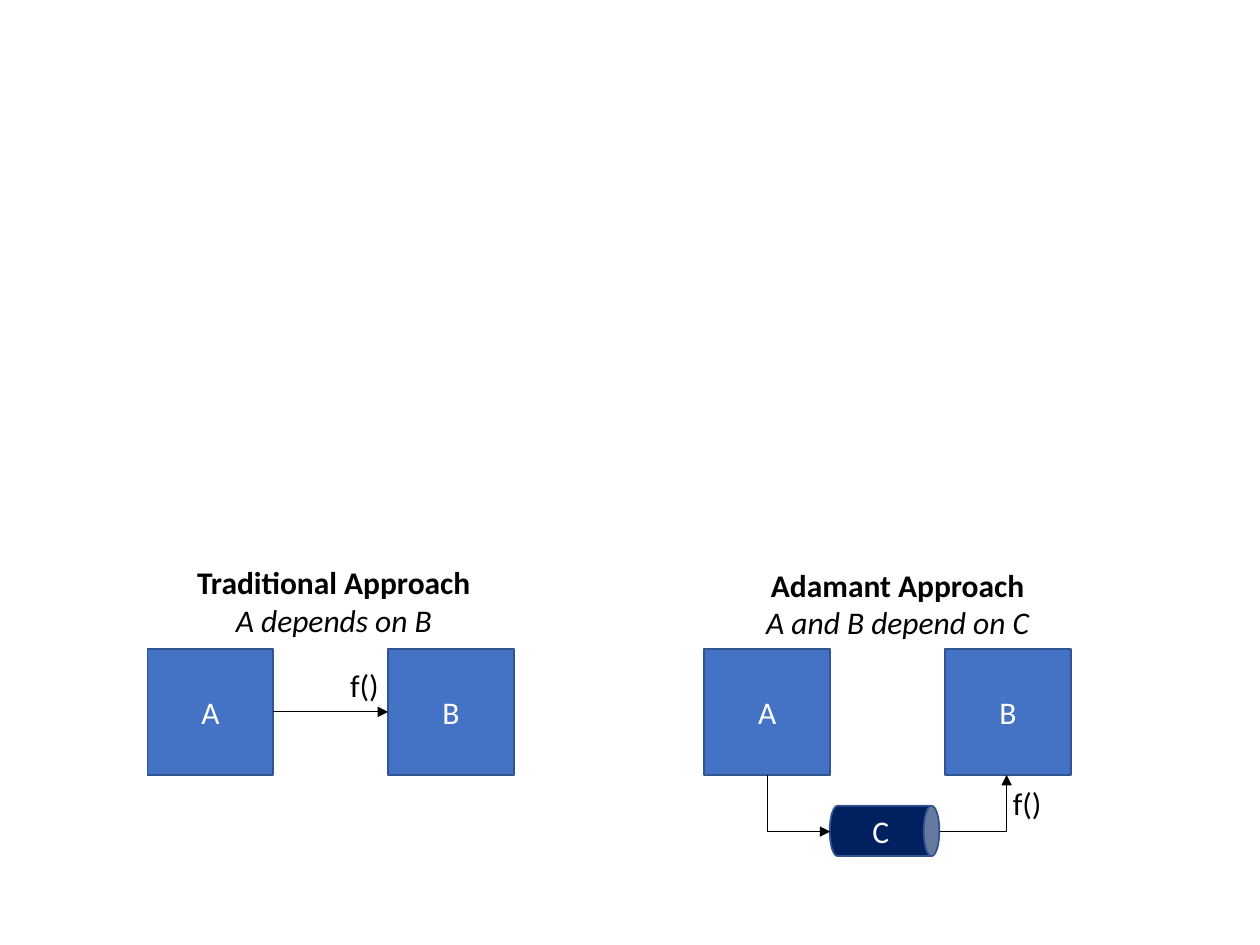
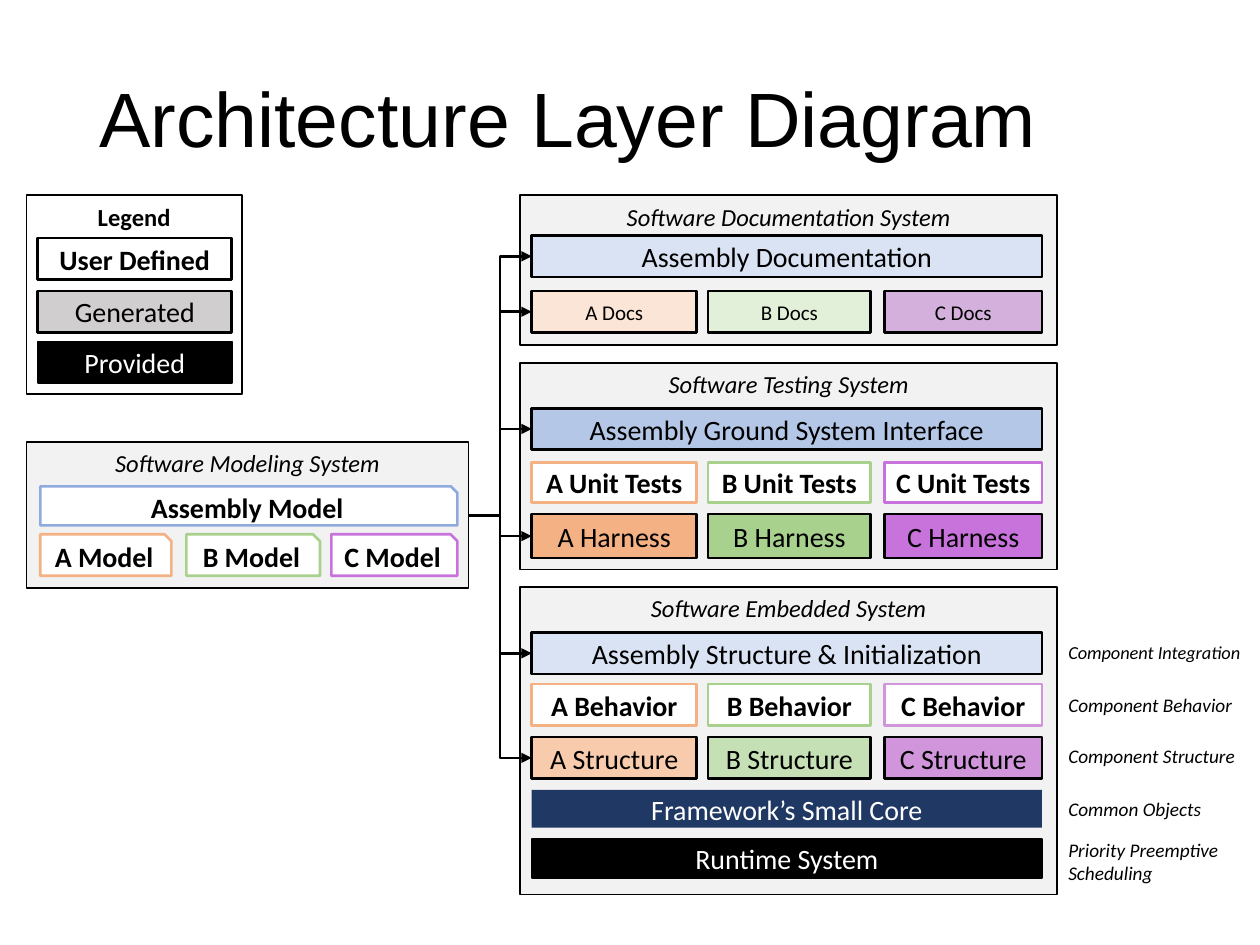
"""Build two slides: a dependency comparison and an architecture layer diagram."""
from lxml import etree
from pptx import Presentation
from pptx.dml.color import RGBColor
from pptx.enum.shapes import MSO_CONNECTOR, MSO_SHAPE
from pptx.enum.text import MSO_ANCHOR, PP_ALIGN
from pptx.oxml.ns import qn
from pptx.util import Pt

PX = 9144
RECT, SNIP, CAN = MSO_SHAPE.RECTANGLE, MSO_SHAPE.SNIP_1_RECTANGLE, MSO_SHAPE.CAN
STRAIGHT, ELBOW = MSO_CONNECTOR.STRAIGHT, MSO_CONNECTOR.ELBOW
TOP, MIDDLE = MSO_ANCHOR.TOP, MSO_ANCHOR.MIDDLE
LEFT, CENTER = PP_ALIGN.LEFT, PP_ALIGN.CENTER
SIDE_LEFT, SIDE_RIGHT = 1, 3

BLACK = RGBColor(0x00, 0x00, 0x00)
WHITE = RGBColor(0xFF, 0xFF, 0xFF)
COMPONENT_BLUE = RGBColor(0x44, 0x72, 0xC4)
COMPONENT_EDGE = RGBColor(0x32, 0x54, 0x91)
NAVY = RGBColor(0x00, 0x20, 0x60)
CORE_NAVY = RGBColor(0x20, 0x38, 0x64)
PANEL_GRAY = RGBColor(0xF2, 0xF2, 0xF2)
GENERATED_GRAY = RGBColor(0xD0, 0xCE, 0xCE)
PALE_BLUE = RGBColor(0xDA, 0xE3, 0xF3)
LIGHT_BLUE = RGBColor(0xB4, 0xC7, 0xE7)
MODEL_BLUE = RGBColor(0x8F, 0xAA, 0xDC)
ORANGE = RGBColor(0xF4, 0xB1, 0x83)
LIGHT_ORANGE = RGBColor(0xF8, 0xCB, 0xAD)
PALE_ORANGE = RGBColor(0xFB, 0xE5, 0xD6)
GREEN = RGBColor(0xA9, 0xD1, 0x8E)
LIGHT_GREEN = RGBColor(0xC5, 0xE0, 0xB4)
PALE_GREEN = RGBColor(0xE2, 0xF0, 0xD9)
PURPLE = RGBColor(0xC8, 0x72, 0xDC)
LIGHT_PURPLE = RGBColor(0xD1, 0x95, 0xDC)
PALE_PURPLE = RGBColor(0xD3, 0xB1, 0xDC)

STRONG = (ORANGE, GREEN, PURPLE)
LIGHT = (LIGHT_ORANGE, LIGHT_GREEN, LIGHT_PURPLE)
PALE = (PALE_ORANGE, PALE_GREEN, PALE_PURPLE)
BEHAVIOR_EDGES = (ORANGE, GREEN, LIGHT_PURPLE)
COLUMNS = (("A", 422, 131), ("B", 562, 129), ("C", 702, 125))
BAR_LEFT, BAR_WIDTH = 422, 405


def emu(*lengths):
    """Turn px lengths into EMU."""
    return [length * PX for length in lengths]


def add_run(paragraph, text, size, color=BLACK, bold=False, italic=False, font="Calibri"):
    """Append one formatted run to a paragraph."""
    run = paragraph.add_run()
    run.text = text
    run.font.name = font
    run.font.size = Pt(size)
    run.font.bold = bold
    run.font.italic = italic
    run.font.color.rgb = color


def add_box(slide, bounds, text, fill, edge=BLACK, width=1.5, kind=RECT,
            anchor=MIDDLE, size=16, **style):
    """Draw a filled shape with one centred line of text."""
    box = slide.shapes.add_shape(kind, *emu(*bounds))
    box.shadow.inherit = False
    box.fill.solid()
    box.fill.fore_color.rgb = fill
    if edge is None:
        box.line.fill.background()
    else:
        box.line.color.rgb = edge
        box.line.width = Pt(width)
    frame = box.text_frame
    frame.word_wrap = True
    frame.vertical_anchor = anchor
    frame.margin_left = frame.margin_right = 0
    paragraph = frame.paragraphs[0]
    paragraph.alignment = CENTER
    add_run(paragraph, text, size, **style)
    return box


def add_label(slide, bounds, lines, align=LEFT, wrap=False):
    """Place a text box; each line is a (text, size, style) tuple."""
    frame = slide.shapes.add_textbox(*emu(*bounds)).text_frame
    frame.word_wrap = wrap
    for index, (text, size, style) in enumerate(lines):
        paragraph = frame.add_paragraph() if index else frame.paragraphs[0]
        paragraph.alignment = align
        add_run(paragraph, text, size, **style)
    return frame


def style_arrow(arrow, width, arrow_end="a:tailEnd"):
    """Give a connector a black line, a triangle head and no shadow."""
    arrow.line.color.rgb = BLACK
    arrow.line.width = Pt(width)
    properties = arrow.element.spPr
    etree.SubElement(properties.find(qn("a:ln")), qn(arrow_end), type="triangle")
    etree.SubElement(properties, qn("a:effectLst"))


def join(slide, kind, source, target, width):
    """Connect the right side of source to the left side of target."""
    arrow = slide.shapes.add_connector(kind, 0, 0, 0, 0)
    arrow.begin_connect(source, SIDE_RIGHT)
    arrow.end_connect(target, SIDE_LEFT)
    style_arrow(arrow, width)


def add_corner(slide, ends, arrow_end):
    """Draw a one-bend arrow that leaves its first end horizontally."""
    arrow = slide.shapes.add_connector(ELBOW, *emu(*ends))
    arrow.element.spPr.find(qn("a:prstGeom")).set("prst", "bentConnector2")
    style_arrow(arrow, 0.5, arrow_end)


def add_component_pair(slide, left):
    """Draw the A and B squares of one approach."""
    return [add_box(slide, (x, 515, 100, 100), name, COMPONENT_BLUE,
                    COMPONENT_EDGE, 1, size=18, color=WHITE)
            for name, x in (("A", left), ("B", left + 191))]


def add_approach_caption(slide, bounds, heading, summary):
    """Write the heading and summary above one approach."""
    add_label(slide, bounds, [(heading, 18, {"bold": True}),
                              (summary, 18, {"italic": True})], CENTER)


def add_call_label(slide, left, top):
    """Write the function call beside an arrow."""
    add_label(slide, (left, top, 43, 40), [("f()", 18, {})])


def add_panel(slide, bounds, title, fill=PANEL_GRAY, **style):
    """Draw a system panel with its title at the top."""
    return add_box(slide, bounds, title, fill, width=1, anchor=TOP, size=14, **style)


def add_bar(slide, top, height, text, fill, **style):
    """Draw a layer that spans all component columns."""
    return add_box(slide, (BAR_LEFT, top, BAR_WIDTH, height), text, fill, **style)


def add_generated_row(slide, top, height, suffix, fills, size=16):
    """Draw the generated layer of each component and return its boxes."""
    return [add_box(slide, (left, top, width, height), f"{name} {suffix}", fill, size=size)
            for (name, left, width), fill in zip(COLUMNS, fills)]


def add_user_row(slide, top, height, suffix, edges, columns=COLUMNS, kind=RECT):
    """Draw the user-defined layer of each component."""
    for (name, left, width), edge in zip(columns, edges):
        add_box(slide, (left, top, width, height), f"{name} {suffix}", WHITE,
                edge, kind=kind, bold=True)


def build_approaches(slide):
    """Compare the traditional and decoupled dependencies."""
    caller, callee = add_component_pair(slide, 117)
    join(slide, STRAIGHT, caller, callee, 0.5)
    add_call_label(slide, 268, 524)
    add_approach_caption(slide, (142, 442, 246, 71), "Traditional Approach", "A depends on B")

    add_component_pair(slide, 559)
    add_call_label(slide, 794, 617)
    add_approach_caption(slide, (597, 444, 231, 71), "Adamant Approach", "A and B depend on C")
    interface = add_box(slide, (682, 616, 40, 87), "C", NAVY, COMPONENT_EDGE, 1,
                        CAN, size=18, color=WHITE)
    interface.adjustments[0] = 0.31
    interface.rotation = 90
    interface.element.txBody.bodyPr.set("vert", "vert270")
    add_corner(slide, (659, 660, 609, 615), "a:headEnd")
    add_corner(slide, (746, 660, 799, 615), "a:tailEnd")


def build_legend(slide):
    """Draw the legend of layer origins."""
    add_panel(slide, (21, 155, 171, 158), "Legend", WHITE, bold=True)
    add_box(slide, (30, 189, 154, 33), "User Defined", WHITE, bold=True)
    add_box(slide, (30, 231, 154, 33), "Generated", GENERATED_GRAY)
    add_box(slide, (30, 271, 154, 33), "Provided", BLACK, width=1, color=WHITE)


def build_modeling(slide):
    """Draw the modeling system and return its panel."""
    panel = add_panel(slide, (21, 351, 351, 116), "Software Modeling System", italic=True)
    add_box(slide, (32, 386, 331, 31), "Assembly Model", WHITE, MODEL_BLUE,
            kind=SNIP, bold=True)
    columns = (("A", 32, 104), ("B", 148, 106), ("C", 263, 100))
    add_user_row(slide, 424, 33, "Model", STRONG, columns, SNIP)
    return panel


def build_systems(slide):
    """Draw the three produced systems and return the layers fed by the models."""
    for top, height, name in ((155, 119, "Documentation"), (288, 164, "Testing"),
                              (466, 244, "Embedded")):
        add_panel(slide, (413, top, 426, height), f"Software {name} System", italic=True)

    documentation = add_bar(slide, 187, 33, "Assembly Documentation", PALE_BLUE)
    docs = add_generated_row(slide, 231, 33, "Docs", PALE, 12)

    ground = add_bar(slide, 324, 33, "Assembly Ground System Interface", LIGHT_BLUE)
    add_user_row(slide, 367, 32, "Unit Tests", STRONG)
    harnesses = add_generated_row(slide, 408, 35, "Harness", STRONG)

    assembly = add_bar(slide, 502, 33, "Assembly Structure & Initialization", PALE_BLUE)
    add_user_row(slide, 543, 33, "Behavior", BEHAVIOR_EDGES)
    structures = add_generated_row(slide, 585, 33, "Structure", LIGHT)
    add_bar(slide, 627, 30, "Framework’s Small Core", CORE_NAVY, edge=None, color=WHITE)
    add_bar(slide, 666, 31, "Runtime System", BLACK, width=1, color=WHITE)
    return documentation, docs[0], ground, harnesses[0], assembly, structures[0]


def build_architecture(slide):
    """Draw the architecture layer diagram."""
    title = add_label(slide, (69, 40, 862, 115), [
        ("Architecture Layer Diagram", 44, {"font": "Arial"})], wrap=True)
    title.vertical_anchor = MIDDLE
    title.paragraphs[0].line_spacing = 0.9

    build_legend(slide)
    modeling = build_modeling(slide)
    for layer in build_systems(slide):
        join(slide, ELBOW, modeling, layer, 1.5)

    notes = ((504, 10.5, "Component Integration"), (545, 11, "Component Behavior"),
             (586, 11, "Component Structure"), (628, 11, "Common Objects"),
             (660, 11, "Priority Preemptive Scheduling"))
    for top, size, note in notes:
        add_label(slide, (838, top, 162, 29), [(note, size, {"italic": True})], wrap=True)


def main():
    """Build and save the presentation."""
    presentation = Presentation()
    presentation.slide_width, presentation.slide_height = emu(1000, 750)
    blank = presentation.slide_layouts[6]
    for build in (build_approaches, build_architecture):
        build(presentation.slides.add_slide(blank))
    presentation.save("out.pptx")


if __name__ == "__main__":
    main()
